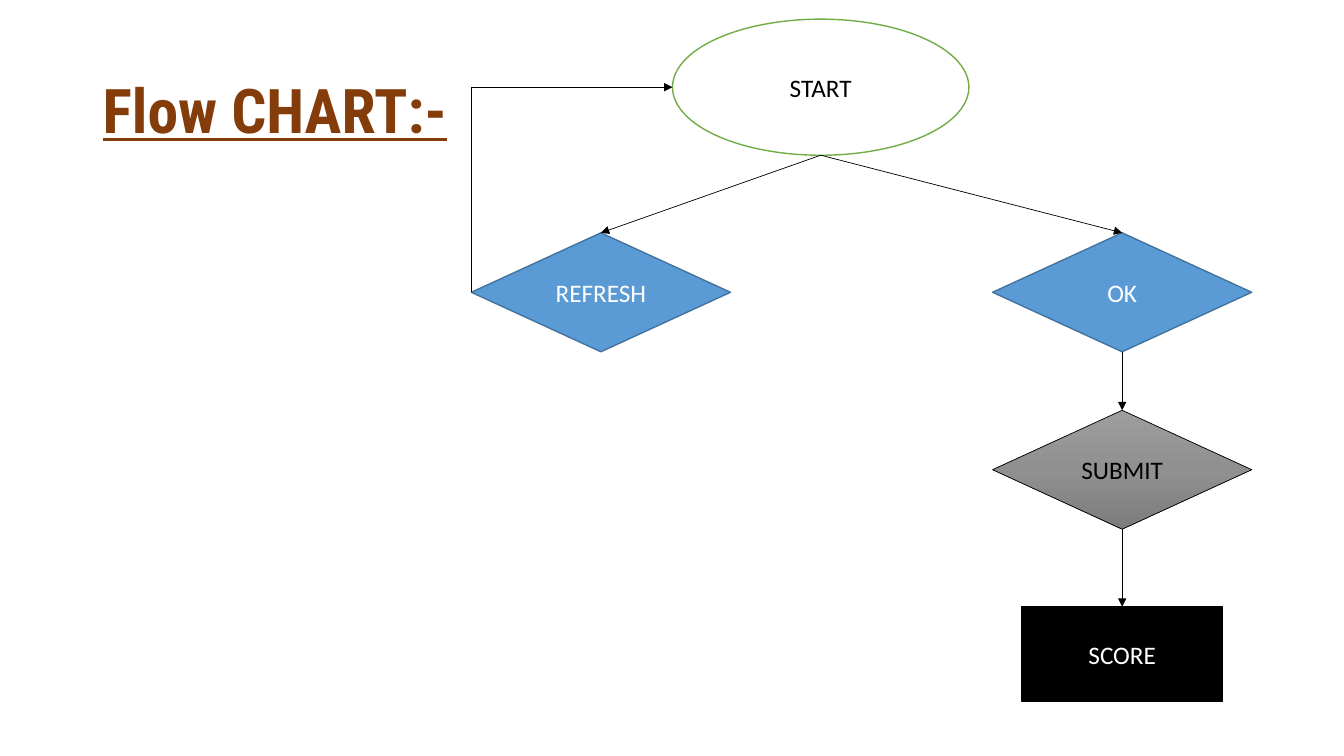
from copy import deepcopy

from lxml import etree
from pptx import Presentation
from pptx.dml.color import RGBColor
from pptx.enum.shapes import MSO_CONNECTOR, MSO_SHAPE
from pptx.enum.text import MSO_ANCHOR, PP_ALIGN
from pptx.oxml.ns import qn
from pptx.util import Inches, Pt

OVAL, DIAMOND, RECT = MSO_SHAPE.OVAL, MSO_SHAPE.DIAMOND, MSO_SHAPE.RECTANGLE
STRAIGHT = MSO_CONNECTOR.STRAIGHT
MIDDLE, CENTER = MSO_ANCHOR.MIDDLE, PP_ALIGN.CENTER

BLACK = RGBColor(0x00, 0x00, 0x00)
WHITE = RGBColor(0xFF, 0xFF, 0xFF)
BROWN = RGBColor(0x84, 0x3C, 0x0B)
GREEN = RGBColor(0x70, 0xAD, 0x47)
BLUE = RGBColor(0x5B, 0x9B, 0xD5)
DARK_BLUE = RGBColor(0x43, 0x73, 0x9E)
GRAYS = (RGBColor(0x9D, 0x9D, 0x9D), RGBColor(0x90, 0x90, 0x90),
         RGBColor(0x7C, 0x7C, 0x7C))


def write(sp, text, color, **formats):
    tf = sp.text_frame
    tf.word_wrap = True
    tf.vertical_anchor = MIDDLE
    p = tf.paragraphs[0]
    r = p.add_run()
    r.text = text
    r.font.color.rgb = color
    for name, value in formats.items():
        setattr(r.font, name, value)
    return p


prs = Presentation()
prs.slide_width, prs.slide_height = Inches(13.33), Inches(7.5)
s = prs.slides.add_slide(prs.slide_layouts[6])

title = s.shapes.add_textbox(Inches(0.92), Inches(0.4), Inches(11.5), Inches(1.45))
p = write(title, "Flow CHART:-", BROWN, name="Roboto Condensed", size=Pt(44),
          bold=True, underline=True)
p.line_spacing = 0.9

# text, shape, centre x, top, width, height, fill, line, line width, text colour
LEFT_X, START_X, RIGHT_X = 5.96, 8.14, 11.13
nodes = [
    ("START", OVAL, START_X, 0.19, 2.94, 1.35, WHITE, GREEN, 1, BLACK),
    ("REFRESH", DIAMOND, LEFT_X, 2.31, 2.57, 1.18, BLUE, DARK_BLUE, 1, WHITE),
    ("OK", DIAMOND, RIGHT_X, 2.31, 2.57, 1.18, BLUE, DARK_BLUE, 1, WHITE),
    ("SUBMIT", DIAMOND, RIGHT_X, 4.07, 2.57, 1.18, GRAYS, BLACK, 0.5, BLACK),
    ("SCORE", RECT, RIGHT_X, 6.02, 1.99, 0.94, BLACK, BLACK, 1, WHITE),
]
top, bottom, left, middle = {}, {}, {}, {}
for text, shape, x, y, w, h, fill, line, line_width, color in nodes:
    sp = s.shapes.add_shape(shape, Inches(x - w / 2), Inches(y), Inches(w), Inches(h))
    sp.shadow.inherit = False
    if fill is GRAYS:
        sp.fill.gradient()
        sp.fill.gradient_angle = 270
        first = sp._element.spPr.find(".//" + qn("a:gs"))
        first.addnext(deepcopy(first))
        for i, (stop, gray) in enumerate(zip(sp.fill.gradient_stops, GRAYS)):
            stop.position = i / 2
            stop.color.rgb = gray
    else:
        sp.fill.solid()
        sp.fill.fore_color.rgb = fill
    sp.line.color.rgb = line
    sp.line.width = Pt(line_width)
    p = write(sp, text, color, name="Calibri", size=Pt(18))
    p.alignment = CENTER
    top[text], bottom[text] = (x, y), (x, y + h)
    left[text] = (x - w / 2, y + h / 2)

corner = (left["REFRESH"][0], left["START"][1])
links = [
    (left["REFRESH"], corner, False),
    (corner, left["START"], True),
    (bottom["START"], top["REFRESH"], True),
    (bottom["START"], top["OK"], True),
    (bottom["OK"], top["SUBMIT"], True),
    (bottom["SUBMIT"], top["SCORE"], True),
]
for start, end, has_arrow in links:
    link = s.shapes.add_connector(STRAIGHT, *map(Inches, start + end))
    link.line.color.rgb = BLACK
    link.line.width = Pt(0.5)
    if has_arrow:
        etree.SubElement(link.line._get_or_add_ln(), qn("a:tailEnd"), type="triangle")
    etree.SubElement(link._element.spPr, qn("a:effectLst"))

prs.save("out.pptx")
